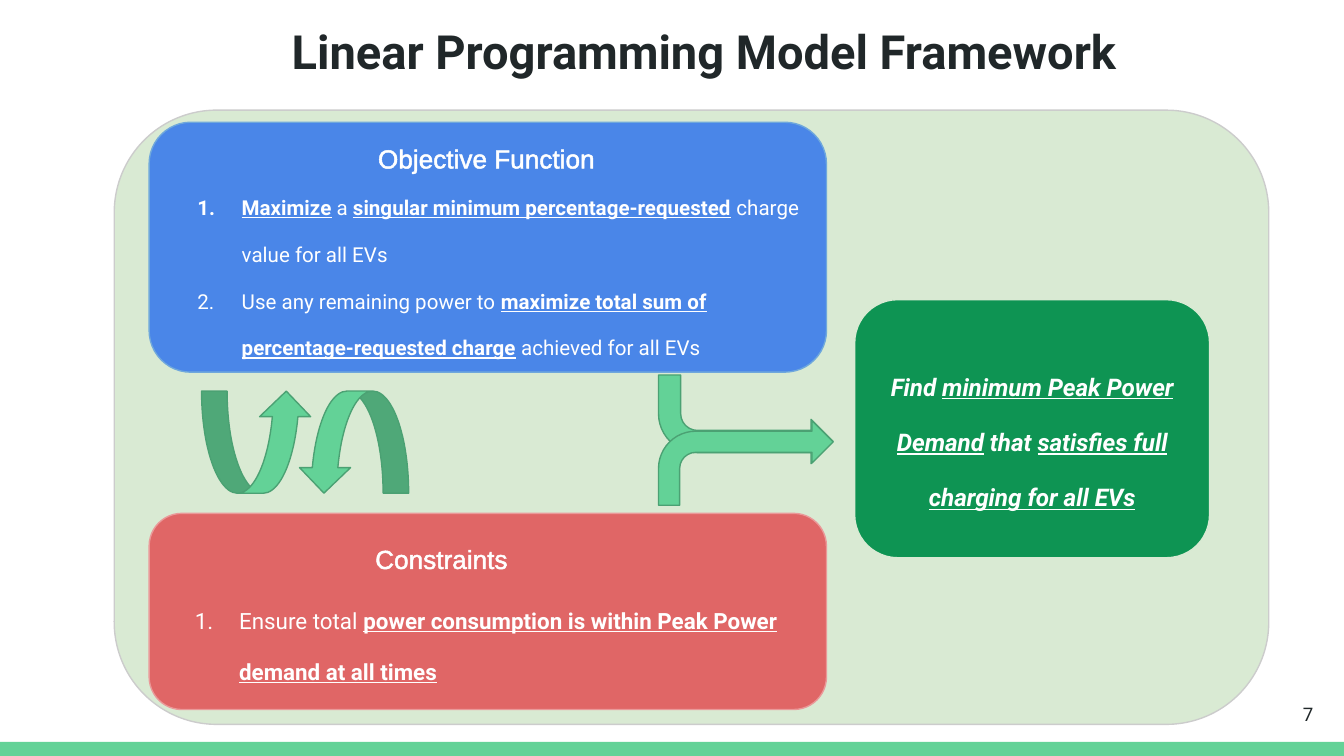
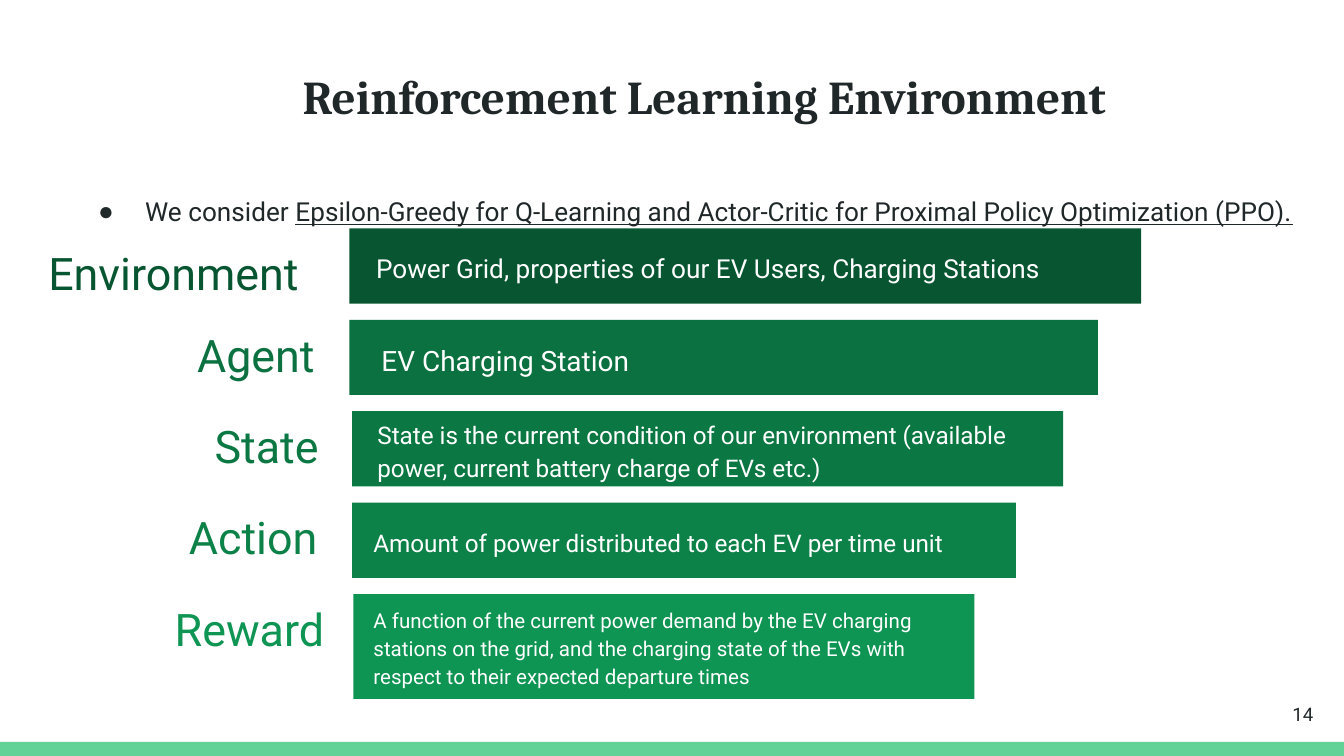
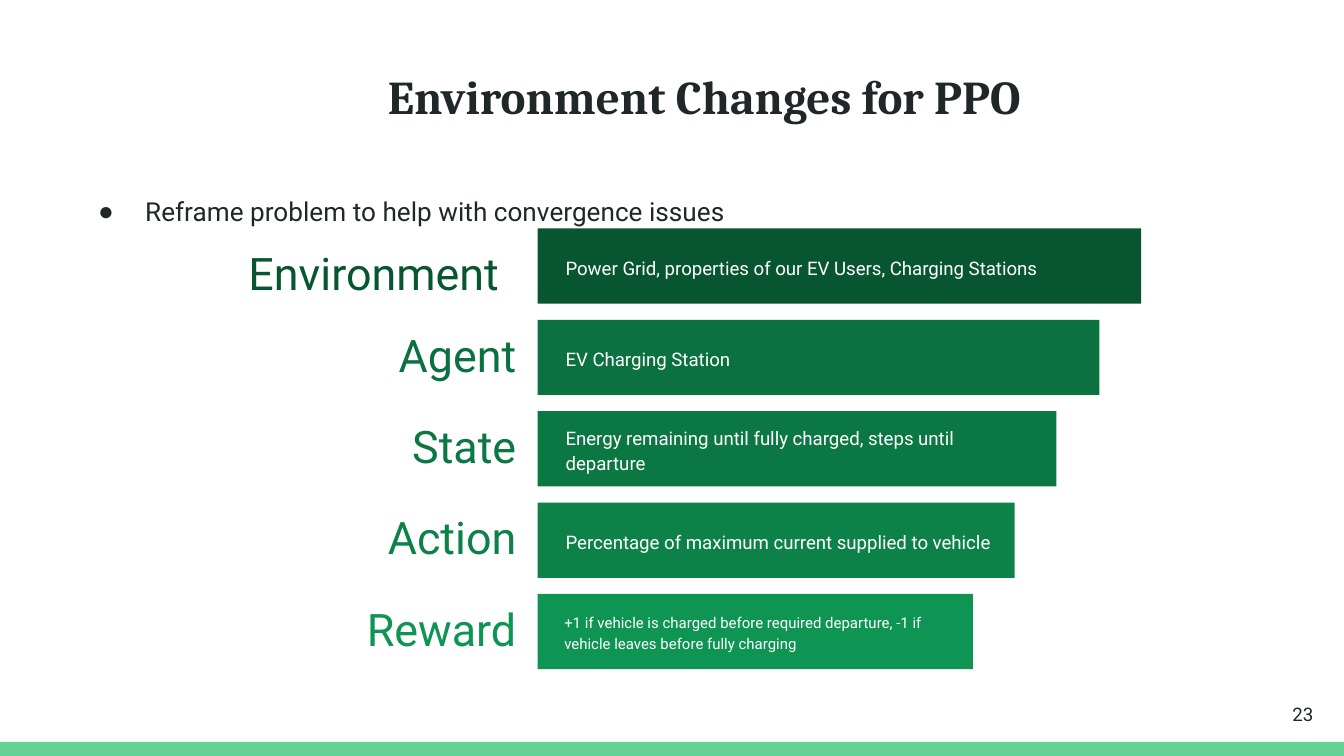
import pptx
import pptx.dml.color
import pptx.enum.shapes
import pptx.enum.text
import pptx.oxml
import pptx.oxml.ns
import pptx.util
from lxml import etree

Inches, Pt = pptx.util.Inches, pptx.util.Pt
SHAPE = pptx.enum.shapes.MSO_SHAPE
ALIGN = pptx.enum.text.PP_ALIGN
ANCHOR = pptx.enum.text.MSO_ANCHOR
qn = pptx.oxml.ns.qn

COLORS = {
    "ink": "202729", "white": "FFFFFF", "mint": "63D297", "mint edge": "4BA173",
    "panel": "D9EAD3", "panel edge": "CCCCCC", "blue": "4A86E8", "blue edge": "6FA8DC",
    "red": "E06666", "red edge": "EA9999", "environment": "085631", "agent": "0B7140",
    "state": "0B7743", "action": "0C8148", "reward": "0E9453",
}

# Content: a run is (text, style), where style holds any of b, i, u
FRAMEWORK = {"title": "Linear Programming Model Framework", "number": "7"}
OBJECTIVES = [
    [("Maximize", "bu"), (" ", "b"), ("a ", ""),
     ("singular minimum percentage-requested", "bu"), (" ", "b"),
     ("charge value for all EVs", "")],
    [("Use any remaining power to ", ""),
     ("maximize total sum of percentage-requested charge", "bu"), (" ", "b"),
     ("achieved for all EVs", "")],
]
CONSTRAINTS = [
    [("Ensure total ", ""),
     ("power consumption is within Peak Power demand at all times", "bu")],
]
GOAL = [("Find ", "bi"), ("minimum Peak Power Demand", "biu"), (" that ", "bi"),
        ("satisfies full charging for all EVs", "biu")]
# heading, items, size, box, fill, edge, bottom inset, heading box
STEPS = [
    ("Objective Function", OBJECTIVES, 11, (1.11, 0.91, 5.04, 1.86), "blue", "blue edge", 0,
     (1.95, 1.01, 3.34, 0.38)),
    ("Constraints", CONSTRAINTS, 12, (1.11, 3.82, 5.04, 1.46), "red", "red edge", 0.11,
     (2.27, 3.99, 2.03, 0.3)),
]
# preset, box, rotation, mirrored, adjustments
ARROWS = [
    (SHAPE.BENT_ARROW, (4.9, 2.79, 1.3, 0.66), 180, True, (0.25, 0.25, 0.25, 0.44)),
    (SHAPE.BENT_ARROW, (4.9, 3.13, 1.3, 0.63), 0, False, (0.25, 0.25, 0.25, 0.44)),
    (SHAPE.CURVED_RIGHT_ARROW, (2.25, 2.88, 0.76, 0.82), 90, False, (0.25, 0.5, 0.25)),
    (SHAPE.CURVED_RIGHT_ARROW, (1.53, 2.88, 0.76, 0.82), 270, False, (0.25, 0.5, 0.25)),
]

# stage, label width, label drop below the bar's top, text height
STAGES = [
    ("Environment", 2.3, 0.11, 0.44), ("Agent", 1.86, 0.04, 0.25), ("State", 1.81, 0.04, 0.25),
    ("Action", 1.32, 0.04, 0.25), ("Reward", 1.89, 0.04, 0.25),
]
# bars: label right, bar left, width, height, text left, text width, size, text
LADDERS = [
    {"title": "Reinforcement Learning Environment", "number": "14",
     "intro": [("We consider ", ""),
               ("Epsilon-Greedy for Q-Learning and Actor-Critic for Proximal Policy "
                "Optimization (PPO).", "u")],
     "bars": [
         (2.32, 2.6, 5.89, 0.56, 2.7, 5.5, 14,
          "Power Grid, properties of our EV Users, Charging Stations"),
         (2.44, 2.6, 5.57, 0.56, 2.74, 5.13, 15, "EV Charging Station"),
         (2.47, 2.62, 5.29, 0.56, 2.71, 5.01, 13,
          "State is the current condition of our environment (available power, "
          "current battery charge of EVs etc.)"),
         (2.46, 2.62, 4.94, 0.56, 2.68, 4.82, 13,
          "Amount of power distributed to each EV per time unit"),
         (2.51, 2.63, 4.62, 0.78, 2.68, 4.41, 11,
          "A function of the current power demand by the EV charging stations on the grid, "
          "and the charging state of the EVs with respect to their expected departure times"),
     ]},
    {"title": "Environment Changes for PPO", "number": "23",
     "intro": [("Reframe problem to help with convergence issues", "")],
     "bars": [
         (3.81, 4, 4.49, 0.56, 4.11, 4.1, 10,
          "Power Grid, properties of our EV Users, Charging Stations"),
         (3.94, 4, 4.18, 0.56, 4.11, 3.76, 10, "EV Charging Station"),
         (3.94, 4, 3.86, 0.56, 4.11, 3.57, 10,
          "Energy remaining until fully charged, steps until departure"),
         (3.94, 4, 3.55, 0.56, 4.11, 3.39, 10,
          "Percentage of maximum current supplied to vehicle"),
         (3.94, 4, 3.24, 0.56, 4.1, 3.01, 8,
          "+1 if vehicle is charged before required departure, -1 if vehicle leaves "
          "before fully charging"),
     ]},
]
FIRST_BAR, BAR_STEP, LABEL_HEIGHT = 1.7, 0.68, 0.48


def rgb(name):
    return pptx.dml.color.RGBColor.from_string(COLORS[name])


def inches(box):
    return [Inches(length) for length in box]


def place(shape, box):
    shape.left, shape.top, shape.width, shape.height = inches(box)


def add_block(shapes, preset, box, fill, edge=None, adjustments=()):
    block = shapes.add_shape(preset, *inches(box))
    block.shadow.inherit = False
    block.fill.solid()
    block.fill.fore_color.rgb = rgb(fill)
    if edge:
        block.line.color.rgb = rgb(edge)
        block.line.width = Pt(0.75)
    else:
        block.line.fill.background()
    for index, value in enumerate(adjustments):
        block.adjustments[index] = value
    return block


def set_frame(shape, anchor, insets=(0.1, 0.1, 0.1, 0.1)):
    frame = shape.text_frame
    frame.word_wrap = True
    frame.auto_size = pptx.enum.text.MSO_AUTO_SIZE.NONE
    frame.vertical_anchor = anchor
    (frame.margin_left, frame.margin_top,
     frame.margin_right, frame.margin_bottom) = inches(insets)
    return frame


def write(paragraph, runs, size, color, align=ALIGN.LEFT, spacing=1.0, font="Roboto"):
    paragraph.alignment = align
    paragraph.line_spacing = spacing
    paragraph.space_before = Pt(0)
    for text, style in runs:
        run = paragraph.add_run()
        run.text = text
        run.font.name = font
        run.font.size = Pt(size)
        run.font.color.rgb = rgb(color)
        run.font.bold = "b" in style
        run.font.italic = "i" in style
        run.font.underline = "u" in style


def add_marker(paragraph, color, hanging, tag, **attributes):
    """Hang the paragraph behind a bullet or an automatic number."""
    properties = paragraph._p.get_or_add_pPr()
    properties.set("marL", str(Inches(0.5)))
    properties.set("indent", str(-Inches(hanging)))
    bullet_color = etree.SubElement(properties, qn("a:buClr"))
    etree.SubElement(bullet_color, qn("a:srgbClr"), val=COLORS[color])
    etree.SubElement(properties, qn(tag), **attributes)


def outline_text(run, color):
    line = etree.Element(qn("a:ln"), w=str(Pt(0.75)))
    fill = etree.SubElement(line, qn("a:solidFill"))
    etree.SubElement(fill, qn("a:srgbClr"), val=COLORS[color])
    run._r.get_or_add_rPr().insert(0, line)


def add_text(shapes, box, runs, size, color, align=ALIGN.LEFT, spacing=1.0,
             anchor=ANCHOR.MIDDLE, insets=(0.1, 0.05, 0.1, 0.05), font="Roboto"):
    paragraph = set_frame(shapes.add_textbox(*inches(box)), anchor, insets).paragraphs[0]
    write(paragraph, runs, size, color, align, spacing, font)
    return paragraph


def add_band(prs):
    """Put the bottom band on the master, behind everything."""
    band = add_block(prs.slides[0].shapes, SHAPE.RECTANGLE, (0, 5.52, 10, 0.11), "mint")
    band._element.nvSpPr.cNvPr.set("id", "100")
    prs.slide_master.shapes._spTree.insert(2, band._element)


def start_slide(prs, layout, content, title_top, title_font):
    slide = prs.slides.add_slide(prs.slide_layouts[layout])
    title = slide.shapes.title
    place(title, (0.82, title_top, 8.84, 0.63))
    write(set_frame(title, ANCHOR.TOP).paragraphs[0], [(content["title"], "b")], 25.2, "ink",
          ALIGN.CENTER, font=title_font)
    add_text(slide.shapes, (9.27, 5.1, 0.6, 0.43), [(content["number"], "")], 10, "ink",
             ALIGN.RIGHT, insets=(0.1, 0.1, 0.1, 0.1))
    return slide


def build_framework(prs):
    shapes = start_slide(prs, 5, FRAMEWORK, 0.07, "Roboto").shapes
    add_block(shapes, SHAPE.ROUNDED_RECTANGLE, (0.85, 0.82, 8.59, 4.57), "panel", "panel edge")

    # Objective and constraints
    for heading, items, size, box, fill, edge, bottom, heading_box in STEPS:
        step = add_block(shapes, SHAPE.ROUNDED_RECTANGLE, box, fill, edge)
        frame = set_frame(step, ANCHOR.BOTTOM, (0.1, 0.1, 0.1, bottom))
        for index, runs in enumerate(items):
            item = frame.add_paragraph() if index else frame.paragraphs[0]
            add_marker(item, "white", 0.33, "a:buAutoNum", type="arabicPeriod")
            write(item, runs, size, "white", spacing=1.9)
        caption = add_text(shapes, heading_box, [(heading, "")], 14, "white", ALIGN.CENTER,
                           anchor=ANCHOR.TOP, font="Arial")
        outline_text(caption.runs[0], "white")

    # Goal
    goal = add_block(shapes, SHAPE.ROUNDED_RECTANGLE, (6.36, 2.23, 2.64, 1.92), "reward", "panel")
    write(set_frame(goal, ANCHOR.MIDDLE).paragraphs[0], GOAL, 13, "white", ALIGN.CENTER, 1.9)

    # Arrows between the boxes
    for preset, box, rotation, mirrored, adjustments in ARROWS:
        arrow = add_block(shapes, preset, box, "mint", "mint edge", adjustments)
        arrow.rotation = rotation
        if mirrored:
            arrow._element.spPr.get_or_add_xfrm().set("flipH", "1")


def build_ladder(prs, content):
    slide = start_slide(prs, 1, content, 0.4, "Cambria")
    intro = slide.placeholders[1]
    place(intro, (0.48, 1.17, 9.52, 0.44))
    point = set_frame(intro, ANCHOR.TOP).paragraphs[0]
    add_marker(point, "ink", 0.35, "a:buChar", char="●")
    write(point, content["intro"], 14, "ink", spacing=1.8)

    # One group per stage: label, bar, description
    for index, (stage, bar) in enumerate(zip(STAGES, content["bars"])):
        name, label_width, drop, text_height = stage
        label_right, left, width, height, text_left, text_width, size, text = bar
        top = FIRST_BAR + index * BAR_STEP
        color = name.lower()
        shapes = slide.shapes.add_group_shape().shapes
        add_text(shapes, (label_right - label_width, top + drop, label_width, LABEL_HEIGHT),
                 [(name, "")], 24, color, ALIGN.RIGHT, 0.9)
        add_block(shapes, SHAPE.RECTANGLE, (left, top, width, height), color)
        text_top = top + (height - text_height) / 2
        add_text(shapes, (text_left, text_top, text_width, text_height), [(text, "")],
                 size, "white", spacing=1.15)


def main():
    prs = pptx.Presentation()
    prs.slide_width = Inches(10)
    prs.slide_height = prs.slide_width * 9 // 16
    build_framework(prs)
    add_band(prs)
    for content in LADDERS:
        build_ladder(prs, content)
    prs.save("out.pptx")


if __name__ == "__main__":
    main()
